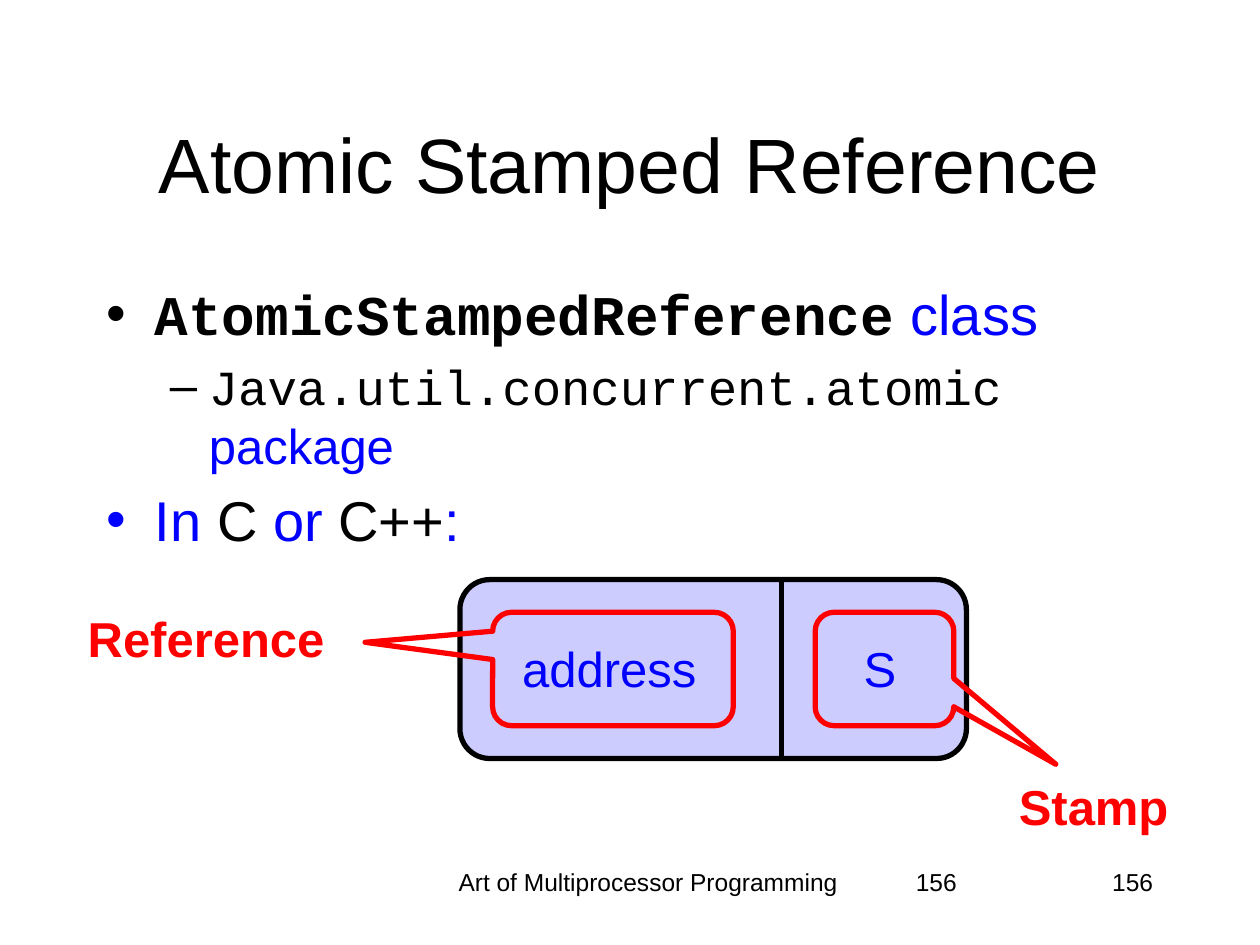
from pptx import Presentation
from pptx.dml.color import RGBColor
from pptx.enum.shapes import MSO_CONNECTOR, MSO_SHAPE
from pptx.enum.text import MSO_ANCHOR, PP_ALIGN
from pptx.oxml.ns import qn
from pptx.util import Inches, Pt
from lxml.etree import SubElement

BLACK = RGBColor(0x00, 0x00, 0x00)
BLUE = RGBColor(0x00, 0x00, 0xFF)
RED = RGBColor(0xFF, 0x00, 0x00)
LAVENDER = RGBColor(0xCC, 0xCC, 0xFF)


def add_run(paragraph, text, size, color, font="Arial", bold=False):
    run = paragraph.add_run()
    run.text = text
    run.font.color.rgb = color
    for key, value in {"size": Pt(size), "name": font, "bold": bold}.items():
        setattr(run.font, key, value)


def add_outline(kind, box, color, adjustments, fill=None):
    shape = slide.shapes.add_shape(kind, *map(Inches, box))
    shape.shadow.inherit = False
    if fill is None:
        shape.fill.background()
    else:
        shape.fill.solid()
        shape.fill.fore_color.rgb = fill
    shape.line.color.rgb = color
    shape.line.width = Pt(3)
    for index, value in enumerate(adjustments):
        shape.adjustments[index] = value


prs = Presentation()
prs.slide_width, prs.slide_height = Inches(10), Inches(7.5)
slide = prs.slides.add_slide(prs.slide_layouts[5])

# Title
title = slide.shapes.title
title.left, title.top = Inches(0.75), Inches(0.67)
title.width, title.height = Inches(8.5), Inches(1.25)
title.text_frame.vertical_anchor = MSO_ANCHOR.MIDDLE
heading = title.text_frame.paragraphs[0]
heading.alignment = PP_ALIGN.CENTER
add_run(heading, "Atomic Stamped Reference", 44, BLACK)

# Bulleted body: level, bullet, size, runs
body = slide.shapes.add_textbox(Inches(0.75), Inches(2.17), Inches(8.5), Inches(4.5)).text_frame
body.word_wrap = True
bullets = [
    (0, "•", 32, [("AtomicStampedReference", BLACK, "Courier New", True),
                  (" class", BLUE)]),
    (1, "–", 28, [("Java.util.concurrent.atomic", BLACK, "Courier New"),
                  (" package", BLUE)]),
    (0, "•", 32, [("In ", BLUE), ("C", BLACK), (" or ", BLUE),
                  ("C++", BLACK), (":", BLUE)]),
]
indents = [(0.38, -0.38), (0.81, -0.31)]
for index, (level, mark, size, runs) in enumerate(bullets):
    point = body.add_paragraph() if index else body.paragraphs[0]
    point.level = level
    if index:
        point.space_before = Pt(size * 0.2)
    props = point._p.get_or_add_pPr()
    for key, value in zip(("marL", "indent"), indents[level]):
        props.set(key, str(Inches(value)))
    SubElement(props, qn("a:buFont"), typeface="Arial")
    SubElement(props, qn("a:buChar"), char=mark)
    for text, *style in runs:
        add_run(point, text, size, *style)

# Memory word split into address and stamp
add_outline(MSO_SHAPE.ROUNDED_RECTANGLE, (3.65, 4.6, 4.02, 1.42), BLACK, [0.167], LAVENDER)
divider = slide.shapes.add_connector(
    MSO_CONNECTOR.STRAIGHT, Inches(6.2), Inches(4.6), Inches(6.2), Inches(6.01))
divider.line.color.rgb = BLACK
divider.line.width = Pt(3)
SubElement(divider._element.spPr, qn("a:effectLst"))

# Callouts around the two fields
callouts = [
    ((6.47, 4.86, 1.1, 0.9), [1.236, 0.84, 0.167]),
    ((3.91, 4.86, 1.91, 0.9), [-1.03, -0.235, 0.167]),
]
for box, adjustments in callouts:
    add_outline(MSO_SHAPE.ROUNDED_RECTANGULAR_CALLOUT, box, RED, adjustments)

# Field names, callout labels and footer
labels = [
    ("address", (3.67, 5.02, 2.33, 0.57), PP_ALIGN.CENTER, 28, BLUE, False),
    ("S", (5.82, 5.02, 2.33, 0.57), PP_ALIGN.CENTER, 28, BLUE, False),
    ("Stamp", (7.68, 6.11, 2, 0.57), PP_ALIGN.CENTER, 28, RED, True),
    ("Reference", (0.36, 4.78, 2.55, 0.57), PP_ALIGN.CENTER, 28, RED, True),
    ("Art of Multiprocessor Programming", (3.42, 6.83, 3.45, 0.5),
     PP_ALIGN.CENTER, 14, BLACK, False),
    ("156", (7.17, 6.83, 2.08, 0.5), PP_ALIGN.LEFT, 14, BLACK, False),
    ("156", (7.17, 6.83, 2.08, 0.5), PP_ALIGN.RIGHT, 14, BLACK, False),
]
for text, box, alignment, size, color, bold in labels:
    frame = slide.shapes.add_textbox(*map(Inches, box)).text_frame
    frame.word_wrap = True
    label = frame.paragraphs[0]
    label.alignment = alignment
    add_run(label, text, size, color, bold=bold)

prs.save("out.pptx")
